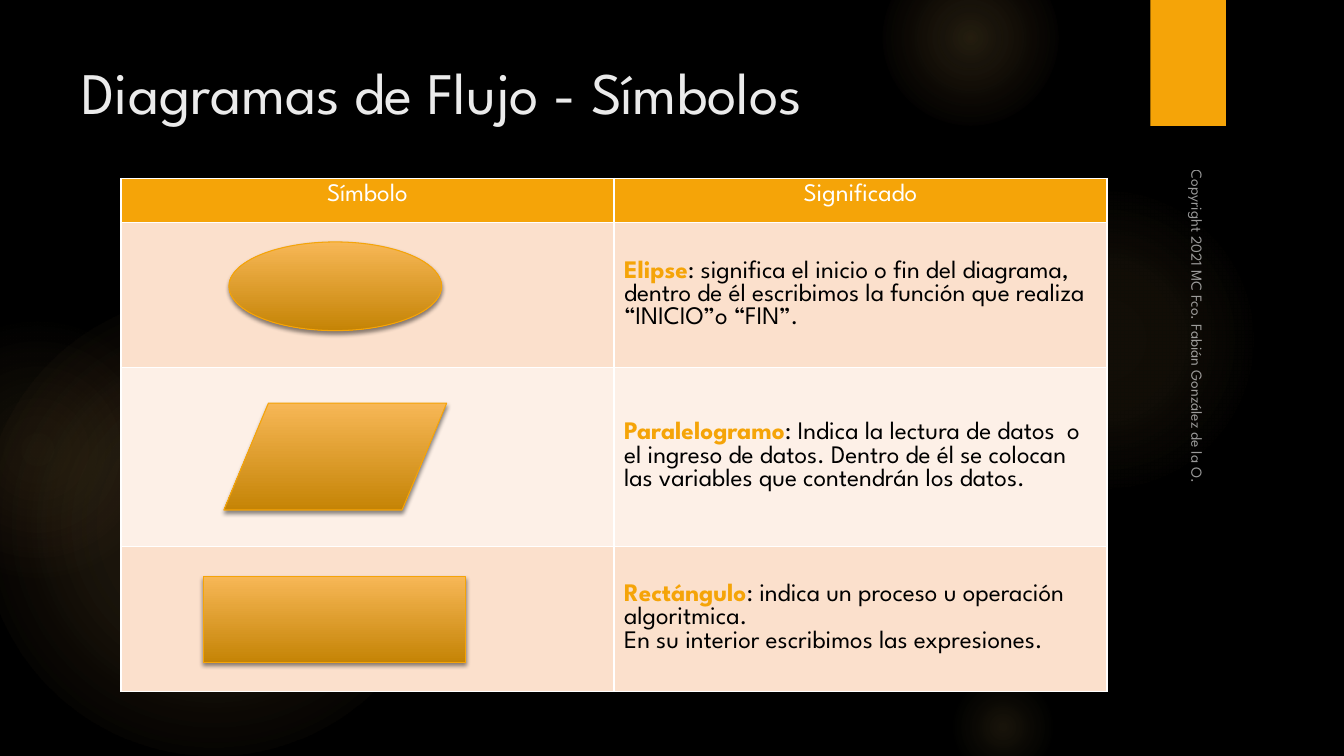
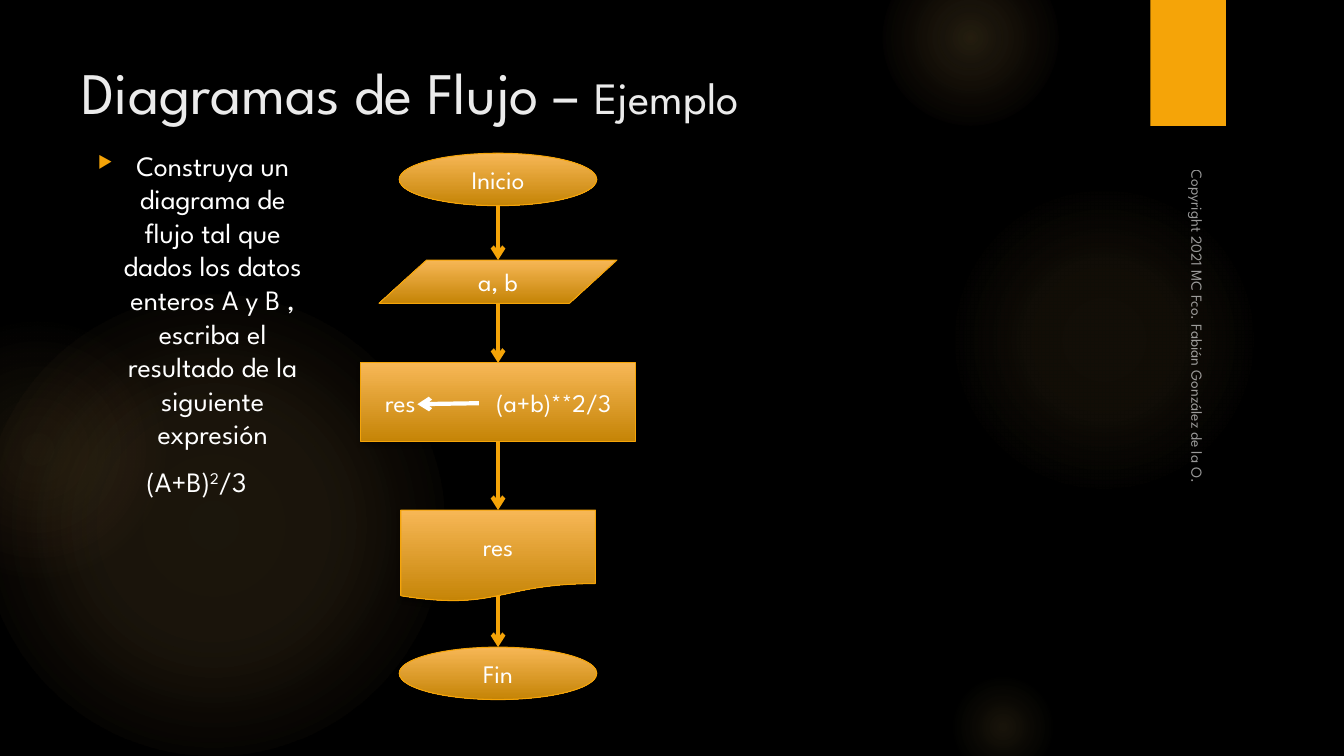
import pptx
import pptx.dml.color
import pptx.enum.shapes
import pptx.enum.text
import pptx.oxml
import pptx.oxml.ns
import pptx.util

Inches = pptx.util.Inches
Pt = pptx.util.Pt
RGBColor = pptx.dml.color.RGBColor
MSO_SHAPE = pptx.enum.shapes.MSO_SHAPE
STRAIGHT = pptx.enum.shapes.MSO_CONNECTOR.STRAIGHT
ALIGN = pptx.enum.text.PP_ALIGN
ANCHOR = pptx.enum.text.MSO_ANCHOR
parse_xml = pptx.oxml.parse_xml
qn = pptx.oxml.ns.qn
NS = pptx.oxml.ns.nsdecls("a")

FONT = "League Spartan"
BLACK = RGBColor(0x00, 0x00, 0x00)
WHITE = RGBColor(0xFF, 0xFF, 0xFF)
TITLE_GREY = RGBColor(0xEB, 0xEB, 0xEB)
ORANGE = RGBColor(0xF5, 0xA4, 0x08)
ORANGE_LIGHT = RGBColor(0xF7, 0xB7, 0x56)
ORANGE_DARK = RGBColor(0xC5, 0x84, 0x06)
GLOW = RGBColor(0xFA, 0xC9, 0x6A)
GLOW_RED = RGBColor(0xF5, 0x9B, 0x74)
BAND_DARK = RGBColor(0xFB, 0xE0, 0xCC)
BAND_LIGHT = RGBColor(0xFD, 0xF0, 0xE7)

COPYRIGHT = "Copyright 2021 MC Fco. Fabián González de la O."
SHADOW = (f'<a:outerShdw {NS} blurRad="38100" dist="25400" dir="5400000" rotWithShape="0">'
          f'<a:srgbClr val="{BLACK}"><a:alpha val="45000"/></a:srgbClr></a:outerShdw>')


def add_run(p, text, size, color, bold=False):
    r = p.add_run()
    r.text = text
    r.font.name = FONT
    r.font.size = Pt(size)
    r.font.bold = bold
    r.font.color.rgb = color
    return r


def add_symbol(s, preset, x, y, w, h, text=""):
    """Add a flowchart symbol with the orange gradient and a soft shadow."""
    sp = s.shapes.add_shape(preset, Inches(x), Inches(y), Inches(w), Inches(h))
    sp.fill.gradient()
    sp.fill.gradient_angle = 270
    for stop, color in zip(sp.fill.gradient_stops, (ORANGE_LIGHT, ORANGE_DARK)):
        stop.color.rgb = color
    sp.line.color.rgb = ORANGE
    sp.line.width = Pt(0.75)
    sp.shadow.inherit = False
    sp.element.spPr.find(qn("a:effectLst")).append(parse_xml(SHADOW))
    if text:
        sp.text_frame.vertical_anchor = ANCHOR.MIDDLE
        p = sp.text_frame.paragraphs[0]
        p.alignment = ALIGN.CENTER
        add_run(p, text, 18, WHITE)
    return sp


prs = pptx.Presentation()
prs.slide_width = Inches(13.33)
prs.slide_height = Inches(7.5)
layout = prs.slide_layouts[5]
layout.background.fill.solid()
layout.background.fill.fore_color.rgb = BLACK

# Title, copyright line
titles = [
    [("Diagramas de Flujo - Símbolos", 42)],
    [("Diagramas de Flujo – ", 42), ("Ejemplo", 32)],
]
slides = []
for title_runs in titles:
    s = prs.slides.add_slide(layout)
    slides.append(s)
    title = s.shapes.title
    title.left, title.top = Inches(0.71), Inches(0.5)
    title.width, title.height = Inches(10.29), Inches(0.9)
    tf = title.text_frame
    tf.auto_size = pptx.enum.text.MSO_AUTO_SIZE.NONE
    tf.vertical_anchor = ANCHOR.TOP
    p = tf.paragraphs[0]
    p.alignment = ALIGN.LEFT
    for text, size in title_runs:
        add_run(p, text, size, TITLE_GREY)

    sp = s.shapes.add_textbox(Inches(9.79), Inches(3.53), Inches(4.22), Inches(0.33))
    sp.rotation = 90
    tf = sp.text_frame
    tf.word_wrap = True
    tf.vertical_anchor = ANCHOR.BOTTOM
    add_run(tf.paragraphs[0], COPYRIGHT, 11, WHITE)
    sp.element.find(".//" + qn("a:srgbClr")).append(parse_xml(f'<a:alpha {NS} val="60000"/>'))

symbols, example = slides

# Shared backdrop, moved behind the layout's placeholders
glows = [  # left, top, diameter, (position, colour, opacity) in percent
    (-0.17, 2.92, 4.58, [(0, GLOW, 11), (36, GLOW, 10), (75, GLOW, 0)]),
    (-0.92, 3.17, 2.58, [(0, GLOW, 8), (36, GLOW, 5), (71, GLOW_RED, 0)]),
    (9.41, 1.83, 3.08, [(0, GLOW, 7), (36, GLOW, 6), (69, GLOW, 0)]),
    (8.75, -0.5, 1.75, [(0, GLOW, 14), (36, GLOW, 7), (73, GLOW, 0)]),
    (9.41, 6.67, 1.08, [(0, GLOW, 10), (31, GLOW, 5), (66, GLOW, 0)]),
]
backdrop = []
for x, y, d, stops in glows:
    sp = symbols.shapes.add_shape(MSO_SHAPE.OVAL, Inches(x), Inches(y), Inches(d), Inches(d))
    sp.line.fill.background()
    sp.shadow.inherit = False
    stops_xml = "".join(
        f'<a:gs pos="{pos * 1000}"><a:srgbClr val="{color}">'
        f'<a:alpha val="{opacity * 1000}"/></a:srgbClr></a:gs>'
        for pos, color, opacity in stops)
    sp.element.spPr.find(qn("a:prstGeom")).addnext(parse_xml(
        f'<a:gradFill {NS}><a:gsLst>{stops_xml}</a:gsLst><a:path path="circle">'
        '<a:fillToRect l="50000" t="50000" r="50000" b="50000"/></a:path></a:gradFill>'))
    backdrop.append(sp)
sp = symbols.shapes.add_shape(MSO_SHAPE.RECTANGLE, Inches(11.41), 0, Inches(0.75), Inches(1.25))
sp.fill.solid()
sp.fill.fore_color.rgb = ORANGE
sp.line.fill.background()
sp.shadow.inherit = False
backdrop.append(sp)
for i, sp in enumerate(backdrop):
    layout.element.cSld.spTree.insert(2 + i, sp.element)

# Slide 1: table of symbols
meanings = [
    ("Elipse", [": significa el inicio o fin del diagrama, dentro de él escribimos "
                "la función que realiza “INICIO”o “FIN”."]),
    ("Paralelogramo", [": Indica la lectura de datos  o el ingreso de datos. Dentro de él "
                       "se colocan las variables que contendrán los datos."]),
    ("Rectángulo", [": indica un proceso u operación algoritmica.",
                    "En su interior escribimos las expresiones."]),
]
table = symbols.shapes.add_table(4, 2, Inches(1.2), Inches(1.77),
                                 Inches(9.79), Inches(5.09)).table
for col in table.columns:
    col.width = Inches(4.89)
for row, height in zip(table.rows, (0.44, 1.44, 1.77, 1.44)):
    row.height = Inches(height)
for i, row in enumerate(table.rows):
    for cell in row.cells:
        cell.fill.solid()
        cell.fill.fore_color.rgb = ORANGE if i == 0 else (BAND_LIGHT, BAND_DARK)[i % 2]
        tcPr = cell._tc.get_or_add_tcPr()
        for k, side in enumerate(("lnL", "lnR", "lnT", "lnB")):
            tcPr.insert(k, parse_xml(
                f'<a:{side} {NS} w="12700"><a:solidFill><a:srgbClr val="{WHITE}"/>'
                f'</a:solidFill></a:{side}>'))
for j, heading in enumerate(("Símbolo", "Significado")):
    p = table.cell(0, j).text_frame.paragraphs[0]
    p.alignment = ALIGN.CENTER
    add_run(p, heading, 18, WHITE)
for i, (name, lines) in enumerate(meanings, 1):
    cell = table.cell(i, 1)
    cell.vertical_anchor = ANCHOR.MIDDLE
    tf = cell.text_frame
    p = tf.paragraphs[0]
    add_run(p, name, 18, ORANGE, bold=True)
    add_run(p, lines[0], 18, BLACK)
    for line in lines[1:]:
        add_run(tf.add_paragraph(), line, 18, BLACK)

add_symbol(symbols, MSO_SHAPE.OVAL, 2.27, 2.4, 2.11, 0.88)
add_symbol(symbols, MSO_SHAPE.FLOWCHART_DATA, 2.22, 4, 2.21, 1.06)
add_symbol(symbols, MSO_SHAPE.RECTANGLE, 2.02, 5.72, 2.6, 0.85)

# Slide 2: exercise text
sp = example.shapes.add_textbox(Inches(0.7), Inches(1.42), Inches(2.44), Inches(5.3))
tf = sp.text_frame
tf.word_wrap = True
task, formula = tf.paragraphs[0], tf.add_paragraph()
for p in (task, formula):
    p.alignment = ALIGN.CENTER
    p.space_before = Pt(4)
    p.space_after = Pt(6)
add_run(task, "Construya un diagrama de flujo tal que dados los datos enteros A y B , "
              "escriba el resultado de la siguiente expresión", 20, WHITE)
pPr = task._p.get_or_add_pPr()
pPr.set("marL", str(Inches(0.38)))
pPr.set("indent", str(Inches(-0.38)))
for xml in (f'<a:buClr {NS}><a:srgbClr val="{ORANGE}"/></a:buClr>',
            f'<a:buSzPct {NS} val="60000"/>',
            f'<a:buChar {NS} char="▶"/>'):
    pPr.append(parse_xml(xml))
formula._p.get_or_add_pPr().set("marL", str(Inches(0.06)))
add_run(formula, "(A+B)", 20, WHITE)
exponent = add_run(formula, "2", 20, WHITE)
exponent._r.get_or_add_rPr().set("baseline", "30000")
add_run(formula, "/3", 20, WHITE)

# Slide 2: flowchart centred on one axis
AXIS = 4.94
steps = [  # preset, top, width, height, text, outgoing arrow start
    (MSO_SHAPE.OVAL, 1.52, 1.96, 0.52, "Inicio", 2.04),
    (MSO_SHAPE.FLOWCHART_DATA, 2.58, 2.36, 0.43, "a, b", 3.01),
    (MSO_SHAPE.RECTANGLE, 3.6, 2.72, 0.78, "res\t(a+b)**2/3", 4.38),
    (MSO_SHAPE.FLOWCHART_DOCUMENT, 5.06, 1.93, 0.91, "res", 5.91),
    (MSO_SHAPE.OVAL, 6.42, 1.96, 0.52, "Fin", None),
]
for preset, y, w, h, text, start in steps:
    sp = add_symbol(example, preset, AXIS - w / 2, y, w, h, text)
    if "\t" in text:
        sp.text_frame.margin_left = Inches(0.24)
        p = sp.text_frame.paragraphs[0]
        p.alignment = ALIGN.LEFT
        p._p.get_or_add_pPr().append(parse_xml(
            f'<a:tabLst {NS}><a:tab pos="{Inches(1.1)}" algn="l"/></a:tabLst>'))

arrows = [(AXIS, a[5], AXIS, b[1], ORANGE) for a, b in zip(steps, steps[1:])]
arrows.append((4.75, 4, 4.14, 4.01, WHITE))
for x1, y1, x2, y2, color in arrows:
    line = example.shapes.add_connector(STRAIGHT, Inches(x1), Inches(y1), Inches(x2), Inches(y2))
    line.line.color.rgb = color
    line.line.width = Pt(3)
    line.element.spPr.find(qn("a:ln")).append(parse_xml(f'<a:tailEnd {NS} type="arrow"/>'))
    line.element.spPr.append(parse_xml(f'<a:effectLst {NS}/>'))

prs.save("out.pptx")
